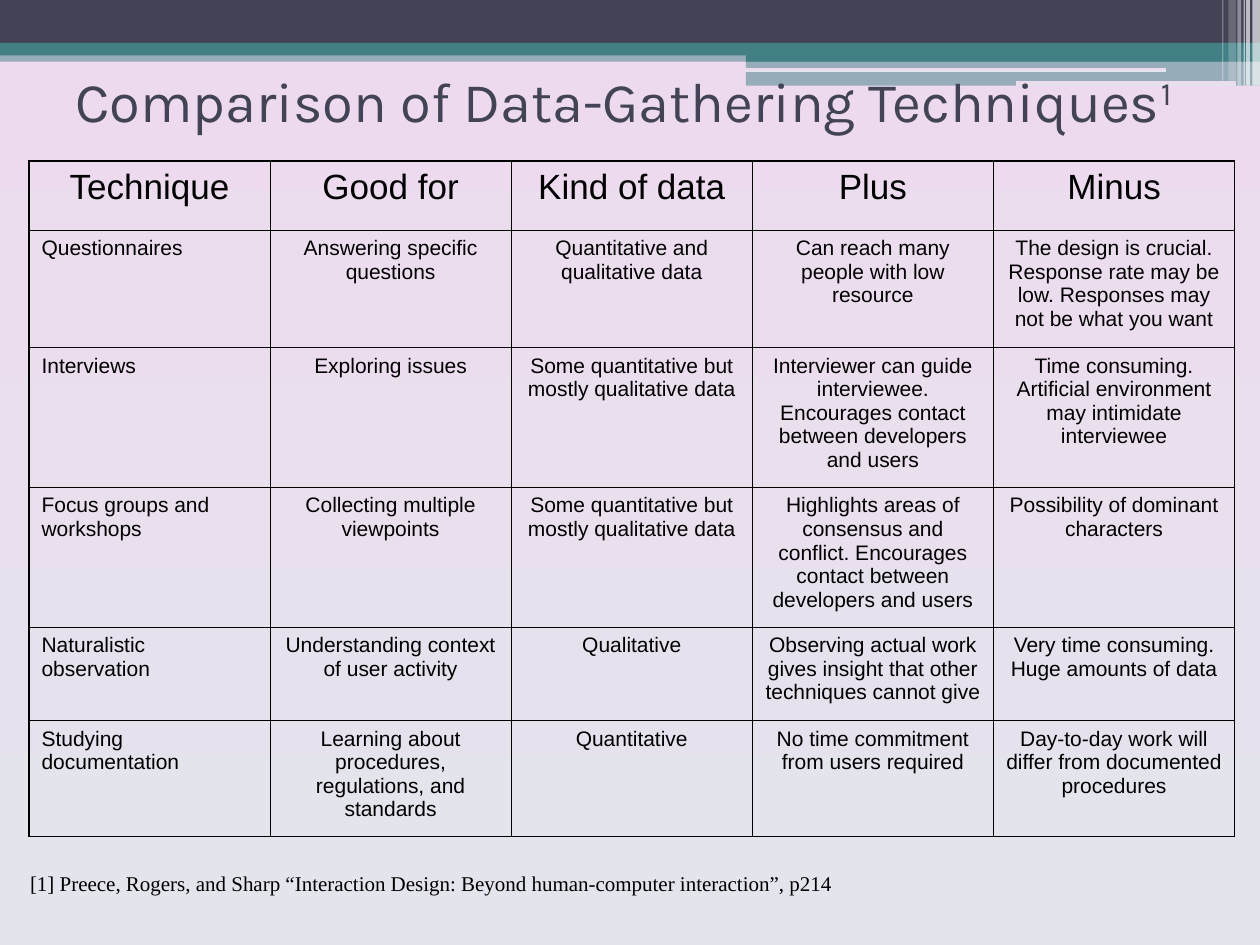
from dataclasses import dataclass
from typing import NamedTuple

from lxml.etree import SubElement
from pptx import Presentation
from pptx.dml.color import RGBColor
from pptx.dml.fill import FillFormat
from pptx.enum.shapes import MSO_SHAPE
from pptx.enum.text import MSO_ANCHOR, PP_ALIGN
from pptx.oxml.ns import qn
from pptx.slide import Slide
from pptx.table import _Cell
from pptx.text.text import _Paragraph
from pptx.util import Inches, Pt


@dataclass(frozen=True)
class Theme:
    slate: str = "424456"
    teal: str = "438086"
    white: str = "FFFFFF"
    black: str = "000000"
    gradient_top: str = "EDDAEE"
    gradient_bottom: str = "E4E4EC"
    title_font: str = "Karla"
    table_font: str = "Arial"
    citation_font: str = "Times New Roman"
    title_size: float = 32
    header_size: float = 20
    body_size: float = 12
    outer_border: float = 1.08
    inner_border: float = 0.45


class Band(NamedTuple):
    left: float
    top: float
    width: float
    height: float
    color: str
    opacity: int = 100


class Slit(NamedTuple):
    left: float
    top: float
    width: float
    height: float


THEME = Theme()

HEADER_BANDS = [
    Band(0, 0.4, 10, 0.09, THEME.teal, 50),
    Band(0, 0, 10, 0.34, THEME.slate),
    Band(0, 0.34, 10, 0.1, THEME.teal),
    Band(5.92, 0.39, 4.08, 0.1, THEME.teal),
    Band(5.92, 0.48, 4.08, 0.2, THEME.teal, 50),
]
HEADER_SLITS = [Slit(5.91, 0.54, 3.35, 0.03), Slit(8.06, 0.64, 1.75, 0.04)]
CORNER_STRIPES = [
    Band(left, 0, width, height, THEME.white, opacity)
    for left, width, height, opacity in [
        (9.94, 0.06, 0.68, 65),
        (9.89, 0.03, 0.68, 65),
        (9.87, 0.01, 0.68, 60),
        (9.82, 0.03, 0.68, 40),
        (9.75, 0.06, 0.64, 20),
        (9.7, 0.01, 0.64, 30),
    ]
]

TECHNIQUES = [
    ("Technique", "Good for", "Kind of data", "Plus", "Minus"),
    ("Questionnaires", "Answering specific questions",
     "Quantitative and qualitative data",
     "Can reach many people with low resource",
     "The design is crucial. Response rate may be low. "
     "Responses may not be what you want"),
    ("Interviews", "Exploring issues",
     "Some quantitative but mostly qualitative data",
     "Interviewer can guide interviewee. Encourages contact "
     "between developers and users",
     "Time consuming. Artificial environment may intimidate interviewee"),
    ("Focus groups and workshops", "Collecting multiple viewpoints",
     "Some quantitative but mostly qualitative data",
     "Highlights areas of consensus and conflict. Encourages contact "
     "between developers and users",
     "Possibility of dominant characters"),
    ("Naturalistic observation", "Understanding context of user activity",
     "Qualitative",
     "Observing actual work gives insight that other techniques cannot give",
     "Very time consuming. Huge amounts of data"),
    ("Studying documentation",
     "Learning about procedures, regulations, and standards",
     "Quantitative", "No time commitment from users required",
     "Day-to-day work will differ from documented procedures"),
]
ROW_HEIGHTS = [0.55, 0.93, 1.11, 1.11, 0.74, 0.92]


def set_font(paragraph: _Paragraph, name: str, size: float, color: str) -> None:
    paragraph.font.name = name
    paragraph.font.size = Pt(size)
    paragraph.font.color.rgb = RGBColor.from_string(color)


def fill_gradient(fill: FillFormat) -> None:
    fill.gradient()
    fill.gradient_angle = 270
    for stop, color in zip(fill.gradient_stops,
                           (THEME.gradient_top, THEME.gradient_bottom)):
        stop.color.rgb = RGBColor.from_string(color)


def draw_band(slide: Slide, band: Band) -> None:
    bar = slide.shapes.add_shape(
        MSO_SHAPE.RECTANGLE, *(Inches(length) for length in band[:4]))
    bar.shadow.inherit = False
    bar.line.fill.background()
    bar.fill.solid()
    bar.fill.fore_color.rgb = RGBColor.from_string(band.color)
    if band.opacity < 100:
        tint = next(bar.element.iter(qn("a:srgbClr")))
        SubElement(tint, qn("a:alpha"), val=str(band.opacity * 1000))


def draw_slit(slide: Slide, slit: Slit) -> None:
    bar = slide.shapes.add_shape(
        MSO_SHAPE.ROUNDED_RECTANGLE, *(Inches(length) for length in slit))
    bar.adjustments[0] = 0.17
    bar.shadow.inherit = False
    bar.line.fill.background()
    fill_gradient(bar.fill)


def draw_title(slide: Slide) -> None:
    title = slide.shapes.title
    title.element.getparent().append(title.element)
    title.left, title.top = Inches(0.5), Inches(0.17)
    title.width, title.height = Inches(9), Inches(1.25)
    title.text_frame.vertical_anchor = MSO_ANCHOR.MIDDLE
    heading = title.text_frame.paragraphs[0]
    heading.alignment = PP_ALIGN.LEFT
    heading.add_run().text = "Comparison of Data-Gathering Techniques"
    footnote_mark = heading.add_run()
    footnote_mark.text = "1"
    footnote_mark.font._element.set("baseline", "30000")
    set_font(heading, THEME.title_font, THEME.title_size, THEME.slate)


def draw_citation(slide: Slide) -> None:
    citation = slide.shapes.add_textbox(
        Inches(0.14), Inches(6.66), Inches(6.57), Inches(0.5)).text_frame
    citation.word_wrap = False
    citation.vertical_anchor = MSO_ANCHOR.BOTTOM
    source = citation.paragraphs[0]
    source.text = ("[1] Preece, Rogers, and Sharp “Interaction Design: "
                   "Beyond human-computer interaction”, p214")
    set_font(source, THEME.citation_font, THEME.body_size, THEME.black)


def set_borders(cell: _Cell, outer_edges: dict[str, bool]) -> None:
    properties = cell._tc.get_or_add_tcPr()
    for edge, is_outer in outer_edges.items():
        width = THEME.outer_border if is_outer else THEME.inner_border
        border = SubElement(properties, qn(f"a:ln{edge}"), w=str(Pt(width)))
        paint = SubElement(border, qn("a:solidFill"))
        SubElement(paint, qn("a:srgbClr"), val=THEME.black)


def draw_techniques(slide: Slide) -> None:
    row_count, column_count = len(TECHNIQUES), len(TECHNIQUES[0])
    table = slide.shapes.add_table(
        row_count, column_count, Inches(0.23), Inches(1.28),
        Inches(9.57), Inches(sum(ROW_HEIGHTS))).table
    table.first_row = table.horz_banding = False
    for row, (height, entries) in enumerate(zip(ROW_HEIGHTS, TECHNIQUES)):
        table.rows[row].height = Inches(height)
        is_header = row == 0
        for column, entry in enumerate(entries):
            cell = table.cell(row, column)
            cell.text = entry
            set_borders(cell, {"L": column == 0, "R": column == column_count - 1,
                               "T": is_header, "B": row == row_count - 1})
            cell.fill.background()
            paragraph = cell.text_frame.paragraphs[0]
            centred = is_header or column > 0
            paragraph.alignment = PP_ALIGN.CENTER if centred else PP_ALIGN.LEFT
            paragraph.space_before = Pt(5 if is_header else 3)
            size = THEME.header_size if is_header else THEME.body_size
            set_font(paragraph, THEME.table_font, size, THEME.black)


def main() -> None:
    deck = Presentation()
    deck.slide_width, deck.slide_height = Inches(10), Inches(7.5)
    slide = deck.slides.add_slide(deck.slide_layouts[5])
    fill_gradient(slide.background.fill)
    for band in HEADER_BANDS:
        draw_band(slide, band)
    for slit in HEADER_SLITS:
        draw_slit(slide, slit)
    for stripe in CORNER_STRIPES:
        draw_band(slide, stripe)
    draw_title(slide)
    draw_citation(slide)
    draw_techniques(slide)
    deck.save("out.pptx")


if __name__ == "__main__":
    main()
